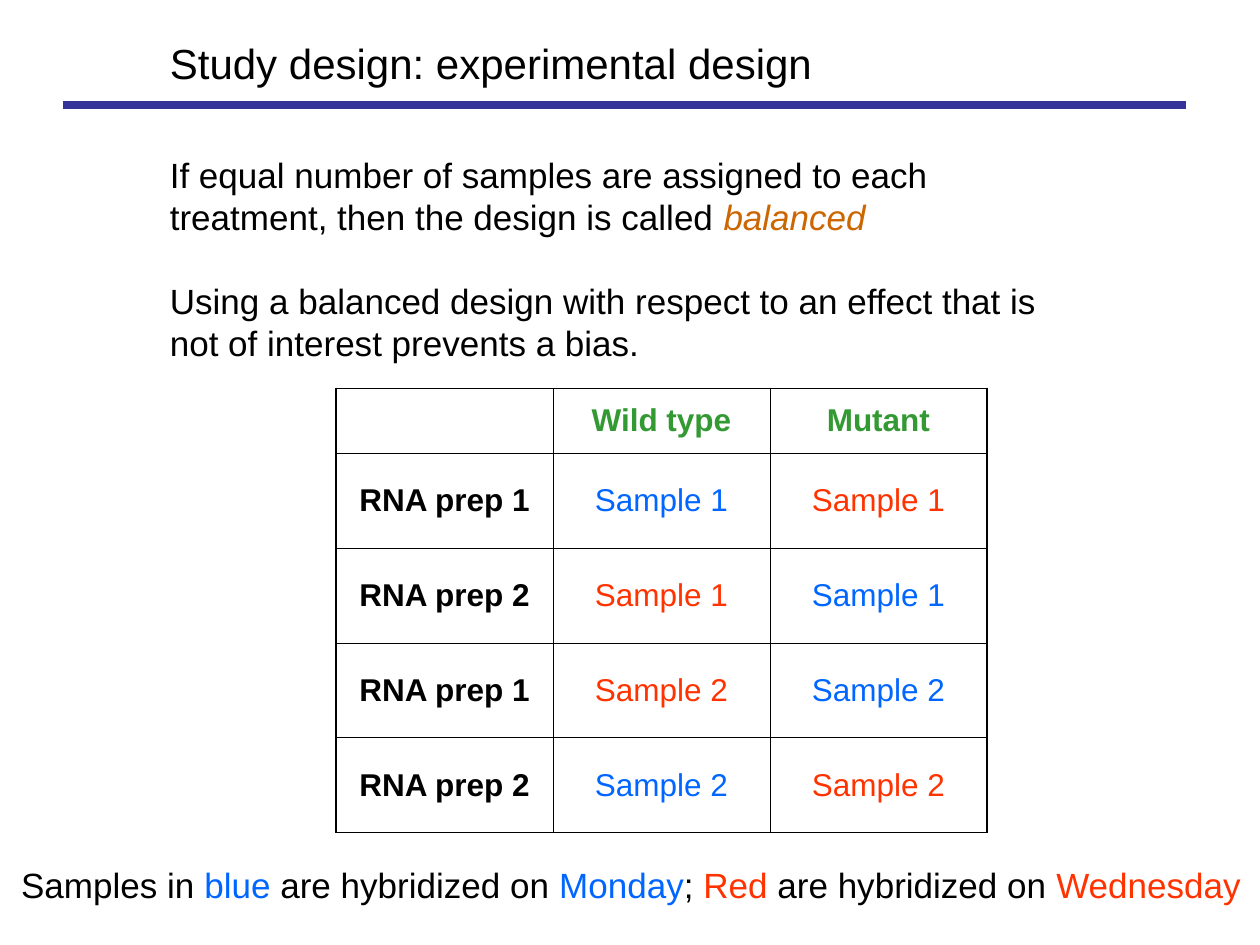
from pptx import Presentation
from pptx.dml.color import RGBColor
from pptx.enum import shapes, text
from pptx.oxml.ns import qn
from pptx.util import Pt
from lxml import etree

THEME = {
    "font": "Arial",
    "title": 24, "body": 20, "table": 18, "leading": 24,
    "black": "000000", "white": "FFFFFF", "rule": "333399",
    "accent": "CC6600", "head": "339933", "blue": "0066FF", "red": "FF3300",
    "outer_line": 1.08, "inner_line": 0.45,
}

# Text is given as paragraphs; each paragraph is a list of (words, colour).
TITLE = [[("Study design: experimental design", "black")]]
BODY = [
    [("If equal number of samples are assigned to each treatment, "
      "then the design is called ", "black"), ("balanced", "accent")],
    [("Using a balanced design with respect to an effect that is "
      "not of interest prevents a bias.", "black")],
]
FOOTER = [[
    ("Samples in ", "black"), ("blue", "blue"),
    (" are hybridized on ", "black"), ("Monday", "blue"), ("; ", "black"),
    ("Red", "red"), (" are hybridized on ", "black"), ("Wednesday", "red"),
]]
DESIGN = [
    [("", "black"), ("Wild type", "head"), ("Mutant", "head")],
    [("RNA prep 1", "black"), ("Sample 1", "blue"), ("Sample 1", "red")],
    [("RNA prep 2", "black"), ("Sample 1", "red"), ("Sample 1", "blue")],
    [("RNA prep 1", "black"), ("Sample 2", "red"), ("Sample 2", "blue")],
    [("RNA prep 2", "black"), ("Sample 2", "blue"), ("Sample 2", "red")],
]
COLUMN_WIDTH, HEADER_HEIGHT, ROW_HEIGHT = 124, 37, 54.2


def colour(name):
    return RGBColor.from_string(THEME[name])


def write(frame, paragraphs, size, wrap=False):
    frame.word_wrap = wrap
    frame.vertical_anchor = text.MSO_ANCHOR.TOP
    for index, pieces in enumerate(paragraphs):
        paragraph = frame.paragraphs[0] if index == 0 else frame.add_paragraph()
        paragraph.alignment = text.PP_ALIGN.LEFT
        paragraph.font.name, paragraph.font.size = THEME["font"], Pt(size)
        if size == THEME["body"]:
            paragraph.line_spacing = Pt(THEME["leading"])
        if index:
            paragraph.space_before = Pt(THEME["leading"])
        for words, tint in pieces:
            run = paragraph.add_run()
            run.text = words
            run.font.color.rgb = colour(tint)
            if tint == "accent":
                run.font.italic = True


def set_borders(cell, outer_sides):
    """Draw the four edges, heavier on the sides at the table's rim."""
    properties = cell._tc.get_or_add_tcPr()
    for position, side in enumerate("LRTB"):
        width = THEME["outer_line" if side in outer_sides else "inner_line"]
        edge = etree.Element(qn(f"a:ln{side}"), w=str(int(Pt(width))))
        fill = etree.SubElement(edge, qn("a:solidFill"))
        etree.SubElement(fill, qn("a:srgbClr"), val=THEME["black"])
        properties.insert(position, edge)


def add_design_table(slide, left, top):
    row_count, column_count = len(DESIGN), len(DESIGN[0])
    height = HEADER_HEIGHT + ROW_HEIGHT * (row_count - 1)
    table = slide.shapes.add_table(
        row_count, column_count, Pt(left), Pt(top),
        Pt(COLUMN_WIDTH * column_count), Pt(height)).table
    for column in table.columns:
        column.width = Pt(COLUMN_WIDTH)
    for r, entries in enumerate(DESIGN):
        table.rows[r].height = Pt(ROW_HEIGHT if r else HEADER_HEIGHT)
        for c, (words, tint) in enumerate(entries):
            cell = table.cell(r, c)
            cell.text = words
            cell.vertical_anchor = text.MSO_ANCHOR.MIDDLE
            cell.fill.background()
            paragraph = cell.text_frame.paragraphs[0]
            paragraph.alignment = text.PP_ALIGN.CENTER
            font = paragraph.font
            font.name, font.size = THEME["font"], Pt(THEME["table"])
            font.bold = r == 0 or c == 0
            font.color.rgb = colour(tint)
            rim = {"L": c == 0, "R": c == column_count - 1,
                   "T": r == 0, "B": r == row_count - 1}
            set_borders(cell, [side for side in rim if rim[side]])


def main():
    deck = Presentation()
    deck.slide_width, deck.slide_height = Pt(720), Pt(540)
    slide = deck.slides.add_slide(deck.slide_layouts[6])

    rule = slide.shapes.add_connector(
        shapes.MSO_CONNECTOR.STRAIGHT, Pt(36), Pt(60), Pt(678), Pt(60))
    rule.line.color.rgb, rule.line.width = colour("rule"), Pt(4.5)
    etree.SubElement(rule._element.spPr, qn("a:effectLst"))

    title = slide.shapes.add_textbox(Pt(90), Pt(18), Pt(386), Pt(65))
    write(title.text_frame, TITLE, THEME["title"])
    body = slide.shapes.add_textbox(Pt(90), Pt(84), Pt(523.5), Pt(151))
    write(body.text_frame, BODY, THEME["body"], wrap=True)

    add_design_table(slide, 192, 222)

    footer = slide.shapes.add_shape(
        shapes.MSO_SHAPE.RECTANGLE, Pt(5), Pt(490), Pt(712), Pt(31.5))
    footer.shadow.inherit = False
    footer.fill.solid()
    footer.fill.fore_color.rgb = colour("white")
    footer.line.fill.background()
    write(footer.text_frame, FOOTER, THEME["body"])

    deck.save("out.pptx")


if __name__ == "__main__":
    main()
